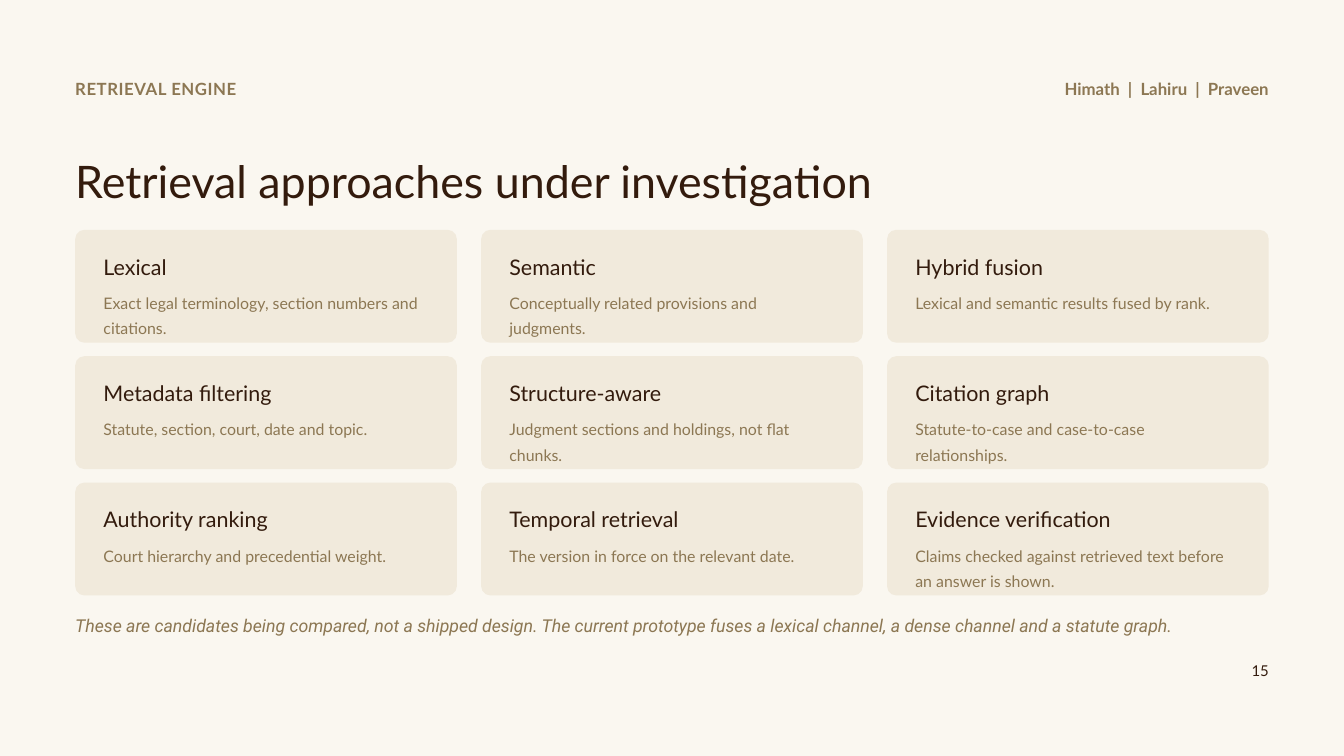
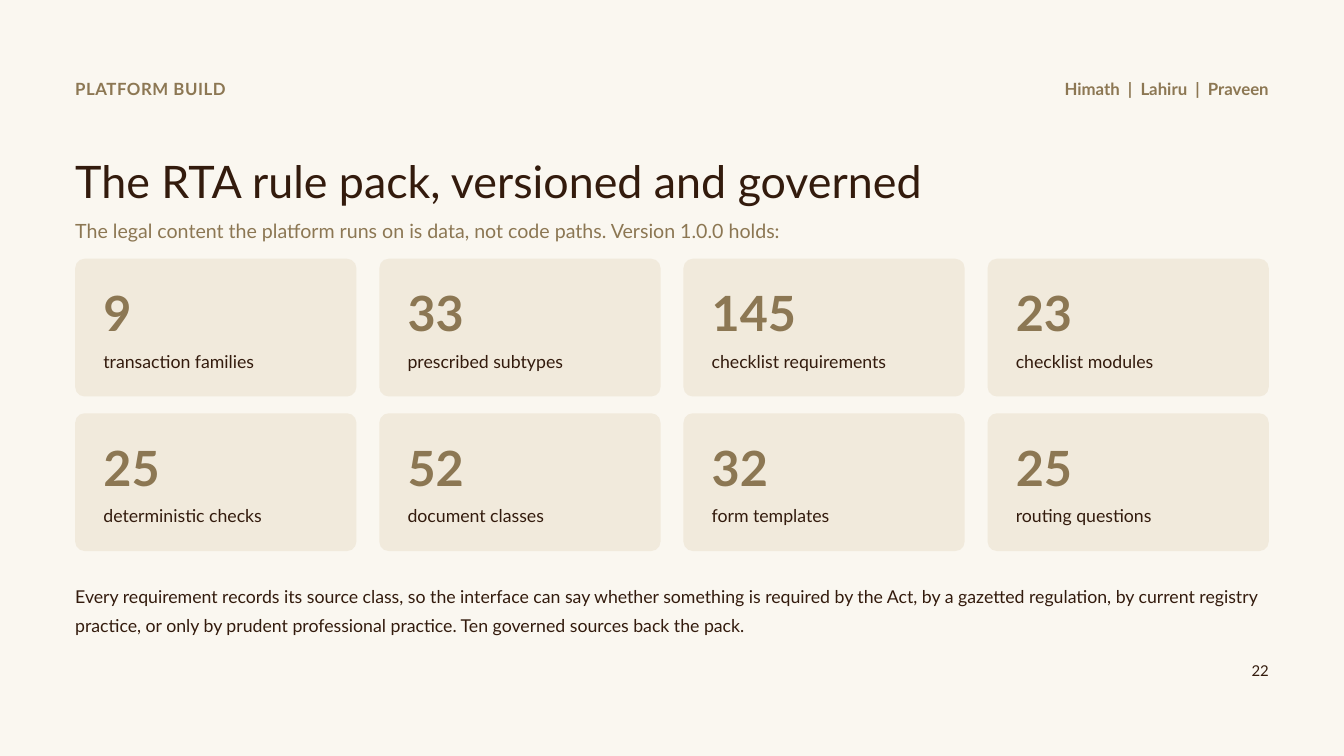
"""Build two slides on retrieval approaches and the governed rule pack."""
from math import ceil

from pptx import Presentation
from pptx.dml.color import RGBColor
from pptx.enum.shapes import MSO_SHAPE
from pptx.enum.text import MSO_ANCHOR, MSO_AUTO_SIZE, PP_ALIGN
from pptx.util import Pt

ROUNDED = MSO_SHAPE.ROUNDED_RECTANGLE
TOP = MSO_ANCHOR.TOP
GROW = MSO_AUTO_SIZE.SHAPE_TO_FIT_TEXT
LEFT, RIGHT = PP_ALIGN.LEFT, PP_ALIGN.RIGHT

AUTHORS = "Himath  |  Lahiru  |  Praveen"

RETRIEVAL = {
    "section": "RETRIEVAL ENGINE",
    "title": "Retrieval approaches under investigation",
    "page": "15",
    "approaches": [
        ("Lexical", "Exact legal terminology, section numbers and citations."),
        ("Semantic", "Conceptually related provisions and judgments."),
        ("Hybrid fusion", "Lexical and semantic results fused by rank."),
        ("Metadata filtering", "Statute, section, court, date and topic."),
        ("Structure-aware", "Judgment sections and holdings, not flat chunks."),
        ("Citation graph", "Statute-to-case and case-to-case relationships."),
        ("Authority ranking", "Court hierarchy and precedential weight."),
        ("Temporal retrieval", "The version in force on the relevant date."),
        ("Evidence verification",
         "Claims checked against retrieved text before an answer is shown."),
    ],
    "caveat": "These are candidates being compared, not a shipped design. The current "
              "prototype fuses a lexical channel, a dense channel and a statute graph.",
}

RULE_PACK = {
    "section": "PLATFORM BUILD",
    "title": "The RTA rule pack, versioned and governed",
    "page": "22",
    "lead": "The legal content the platform runs on is data, not code paths. "
            "Version 1.0.0 holds:",
    "counts": [
        ("9", "transaction families"),
        ("33", "prescribed subtypes"),
        ("145", "checklist requirements"),
        ("23", "checklist modules"),
        ("25", "deterministic checks"),
        ("52", "document classes"),
        ("32", "form templates"),
        ("25", "routing questions"),
    ],
    "sources": "Every requirement records its source class, so the interface can say "
               "whether something is required by the Act, by a gazetted regulation, by "
               "current registry practice, or only by prudent professional practice. "
               "Ten governed sources back the pack.",
}

COLORS = {"paper": "FAF7F0", "card": "F1EADC", "ink": "331B0D", "accent": "8C7753"}

SLIDE_W, SLIDE_H = 1440, 810
MARGIN = 80.6
CONTENT_W = SLIDE_W - 2 * MARGIN
TITLE_W = 1116
CARD_PAD = 30.2
CARD_RADIUS = 10
NOTE_LINE_CHARS = 44


def color(name):
    return RGBColor.from_string(COLORS[name])


def write(slide, text, left, top, width, height, *, size, ink="ink", font="Lato",
          spacing=1.05, bold=False, italic=False, align=LEFT, tracking=0, holder=None):
    box = holder or slide.shapes.add_textbox(0, 0, 0, 0)
    box.left, box.top, box.width, box.height = map(Pt, (left, top, width, height))
    frame = box.text_frame
    frame.margin_left = frame.margin_right = frame.margin_top = frame.margin_bottom = 0
    frame.word_wrap = True
    frame.auto_size = GROW
    frame.vertical_anchor = TOP
    paragraph = frame.paragraphs[0]
    paragraph.alignment = align
    paragraph.line_spacing = spacing
    run = paragraph.add_run()
    run.text = text
    run.font.name = font
    run.font.size = Pt(size)
    run.font.bold = bold
    run.font.italic = italic
    run.font.color.rgb = color(ink)
    if tracking:
        run.font._element.set("spc", str(round(tracking * 100)))


def start_slide(prs, content):
    slide = prs.slides.add_slide(prs.slide_layouts[5])
    slide.background.fill.solid()
    slide.background.fill.fore_color.rgb = color("paper")
    write(slide, content["title"], MARGIN, 157, TITLE_W, 59, size=48, spacing=1.14,
          holder=slide.shapes.title)
    write(slide, content["section"], MARGIN, 83.5, 648, 23, size=18, ink="accent",
          bold=True, tracking=0.6)
    for text, top, height, style in (
        (AUTHORS, 83.5, 23, {"size": 18, "ink": "accent", "bold": True}),
        (content["page"], 707.8, 21, {"size": 16}),
    ):
        write(slide, text, SLIDE_W - MARGIN - 360, top, 360, height, align=RIGHT, **style)
    return slide


def add_cards(slide, count, columns, top, height, gap_x, gap_y):
    """Draw a grid of cards and return the left, top and width of their text areas."""
    width = (CONTENT_W - gap_x * (columns - 1)) / columns
    areas = []
    for index in range(count):
        row, column = divmod(index, columns)
        x = MARGIN + column * (width + gap_x)
        y = top + row * (height + gap_y)
        card = slide.shapes.add_shape(ROUNDED, Pt(x), Pt(y), Pt(width), Pt(height))
        card.adjustments[0] = CARD_RADIUS / height
        card.shadow.inherit = False
        card.fill.solid()
        card.fill.fore_color.rgb = color("card")
        card.line.fill.background()
        areas.append((x + CARD_PAD, y, width - 2 * CARD_PAD))
    return areas


def build_retrieval(prs):
    slide = start_slide(prs, RETRIEVAL)
    approaches = RETRIEVAL["approaches"]
    areas = add_cards(slide, len(approaches), 3, 246.2, 121, 26, 14.4)
    for (name, note), (x, y, width) in zip(approaches, areas):
        extra_lines = ceil(len(note) / NOTE_LINE_CHARS) - 1
        write(slide, name, x, y + 21.6, width, 31, size=23, spacing=1.15)
        write(slide, note, x, y + 62, width, 26.6 + 22.4 * extra_lines, size=17,
              ink="accent", spacing=1.32)
    write(slide, RETRIEVAL["caveat"], MARGIN, 651.6, CONTENT_W, 29, size=19,
          ink="accent", font="Roboto", italic=True, spacing=1.3)


def build_rule_pack(prs):
    slide = start_slide(prs, RULE_PACK)
    write(slide, RULE_PACK["lead"], MARGIN, 226.8, TITLE_W, 31.7, size=21,
          ink="accent", spacing=1.3)
    counts = RULE_PACK["counts"]
    areas = add_cards(slide, len(counts), 4, 277.2, 147.6, 24.6, 18)
    for (number, label), (x, y, width) in zip(counts, areas):
        write(slide, number, x, y + 23, width, 59, size=52, ink="accent", bold=True)
        write(slide, label, x, y + 92.2, width, 28.8, size=19, spacing=1.28)
    write(slide, RULE_PACK["sources"], MARGIN, 619.2, CONTENT_W, 56, size=19, spacing=1.36)


def main():
    prs = Presentation()
    prs.slide_width, prs.slide_height = Pt(SLIDE_W), Pt(SLIDE_H)
    build_retrieval(prs)
    build_rule_pack(prs)
    prs.save("out.pptx")


if __name__ == "__main__":
    main()
